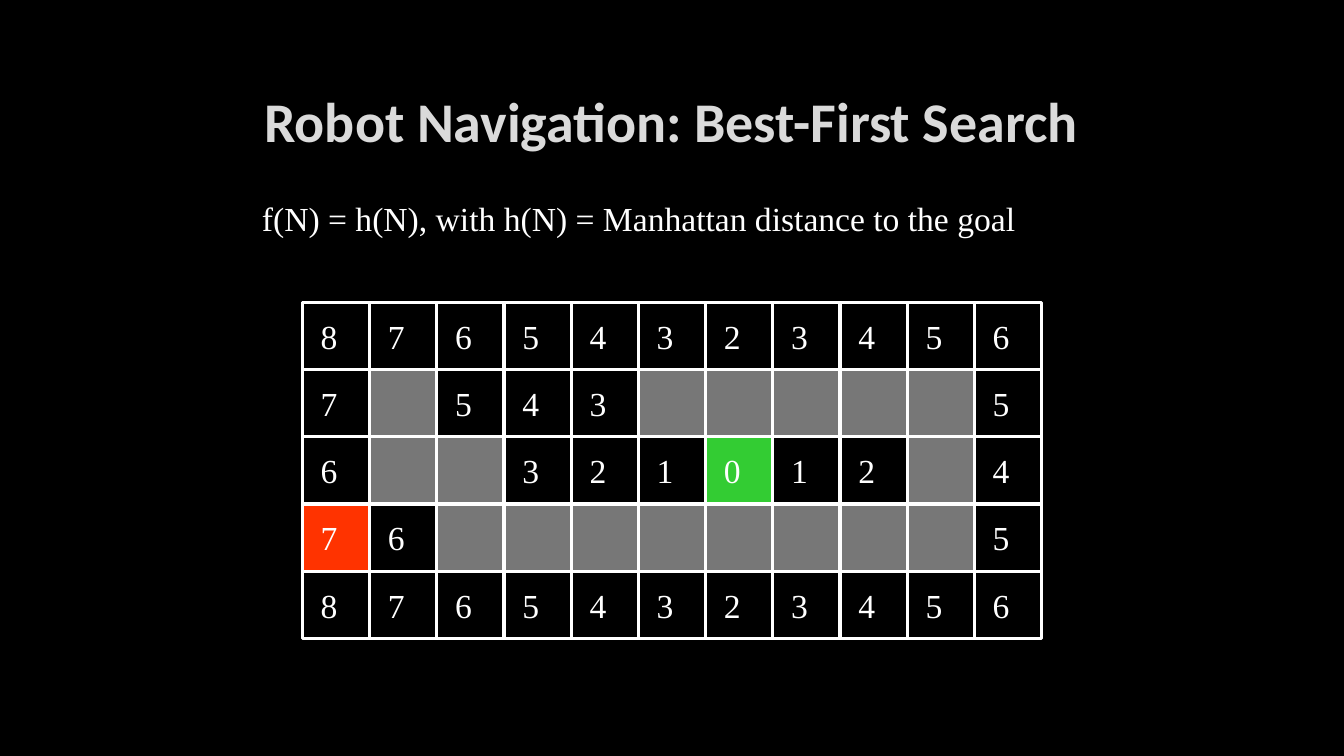
from lxml import etree
from pptx import Presentation
from pptx import util as u
from pptx.dml import color
from pptx.enum import shapes, text
from pptx.oxml import ns

CELL = 48
LEFT = TOP = 216
MAZE = [
    "87654323456",
    "7#543#####5",
    "6##321012#4",
    "76########5",
    "87654323456",
]
START, GOAL = (3, 0), (2, 6)
WHITE, WALL, RED, GREEN = "FFFFFF", "777777", "FF3300", "33CC33"


def rgb(value):
    return color.RGBColor.from_string(value)


class Board:
    """Draws styled elements on the current slide, with lengths in points."""

    font, size, ink, weight = "Times New Roman", 24, WHITE, 2.25

    def __init__(self, slide):
        self.slide = slide
        self.target = slide.shapes
        fill = slide.background.fill
        fill.solid()
        fill.fore_color.rgb = rgb("000000")

    def group(self):
        self.target = self.slide.shapes.add_group_shape().shapes

    def ungroup(self):
        self.target = self.slide.shapes

    def run(self, p, words, font, size, ink, bold=False):
        r = p.add_run()
        r.text = words
        r.font.name, r.font.size, r.font.bold = font, u.Pt(size), bold
        r.font.color.rgb = rgb(ink)

    def title(self, words, x, y, w, h):
        sp = self.slide.shapes.title
        sp.left, sp.top, sp.width, sp.height = map(u.Pt, (x, y, w, h))
        tf = sp.text_frame
        tf.auto_size = text.MSO_AUTO_SIZE.NONE
        tf.vertical_anchor = text.MSO_ANCHOR.MIDDLE
        p = tf.paragraphs[0]
        p.alignment = text.PP_ALIGN.CENTER
        self.run(p, words, "Calibri", 40, "DADADA", True)

    def label(self, words, x, y, w, h):
        sp = self.target.add_textbox(*map(u.Pt, (x, y, w, h)))
        tf = sp.text_frame
        tf.word_wrap = False
        tf.auto_size = text.MSO_AUTO_SIZE.SHAPE_TO_FIT_TEXT
        p = tf.paragraphs[0]
        p.alignment = text.PP_ALIGN.LEFT
        self.run(p, words, self.font, self.size, self.ink)

    def box(self, x, y, w, h, fill=None):
        sp = self.target.add_shape(shapes.MSO_SHAPE.RECTANGLE, *map(u.Pt, (x, y, w, h)))
        sp.shadow.inherit = False
        if fill:
            sp.fill.solid()
            sp.fill.fore_color.rgb = rgb(fill)
        else:
            sp.fill.background()
        self.stroke(sp.line)

    def line(self, x1, y1, x2, y2):
        cx = self.target.add_connector(shapes.MSO_CONNECTOR.STRAIGHT, *map(u.Pt, (x1, y1, x2, y2)))
        self.stroke(cx.line)
        etree.SubElement(cx._element.spPr, ns.qn("a:effectLst"))

    def stroke(self, line):
        line.color.rgb = rgb(self.ink)
        line.width = u.Pt(self.weight)


def main():
    prs = Presentation()
    prs.slide_width, prs.slide_height = u.Pt(960), u.Pt(540)
    board = Board(prs.slides.add_slide(prs.slide_layouts[5]))
    board.title("Robot Navigation: Best-First Search", 72, 48, 815, 76)

    rows, cols = len(MAZE), len(MAZE[0])
    width, height = cols * CELL, rows * CELL
    cells = [
        (row, col, LEFT + col * CELL, TOP + row * CELL, mark)
        for row, marks in enumerate(MAZE)
        for col, mark in enumerate(marks)
    ]
    special = {START: RED, GOAL: GREEN}

    board.group()
    board.box(LEFT, TOP, width, height)
    for col in range(1, cols):
        x = LEFT + col * CELL
        board.line(x, TOP, x, TOP + height)
    for row in range(1, rows):
        y = TOP + row * CELL
        board.line(LEFT, y, LEFT + width, y)
    for row, col, x, y, mark in cells:
        fill = WALL if mark == "#" else special.get((row, col))
        if fill:
            board.box(x, y, CELL, CELL, fill)
    for row, col, x, y, mark in cells:
        if mark != "#":
            board.label(mark, x + 6, y + 6, 27, 36)
    board.ungroup()

    board.label("f(N) = h(N), with h(N) = Manhattan distance to the goal", 180, 138, 558, 36)
    prs.save("out.pptx")


if __name__ == "__main__":
    main()
